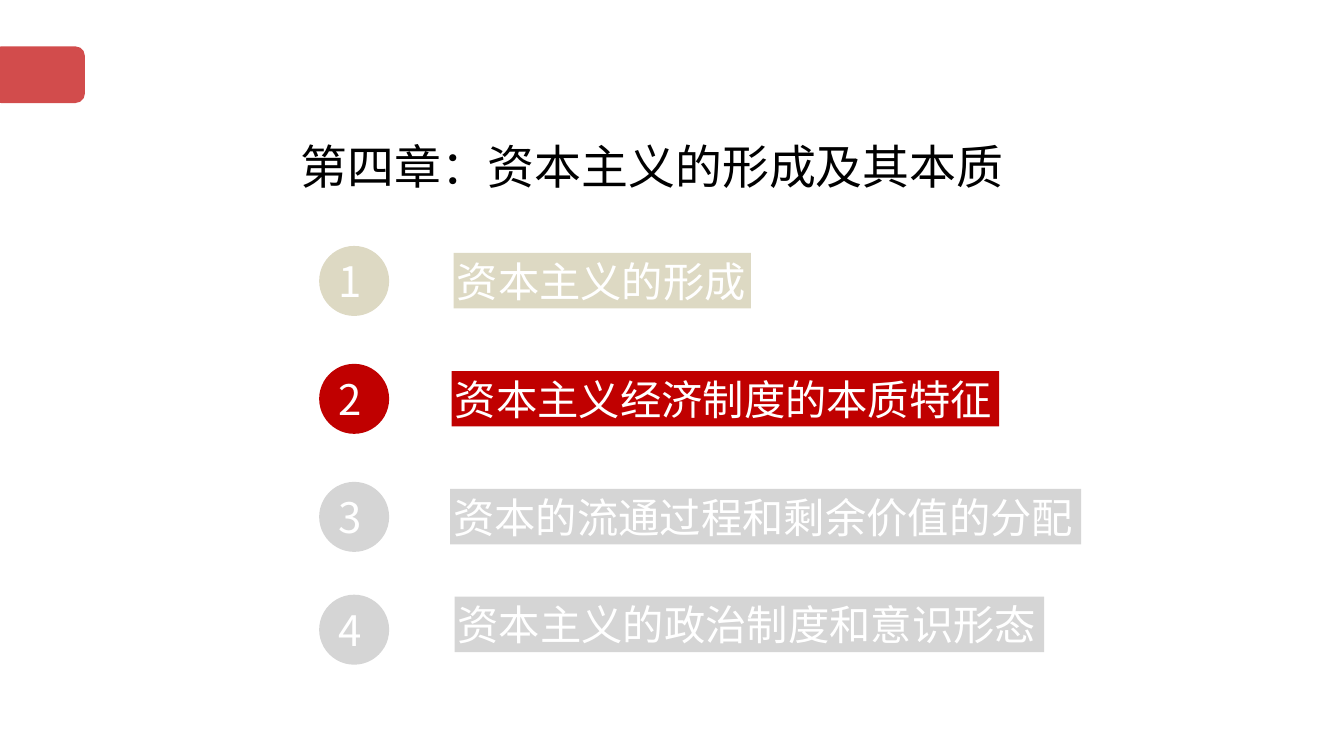
from pptx import Presentation
from pptx.dml.color import RGBColor
from pptx.enum.shapes import MSO_SHAPE
from pptx.enum.text import MSO_ANCHOR, MSO_AUTO_SIZE, PP_ALIGN
from pptx.oxml.ns import qn
from pptx.util import Pt
from lxml.etree import SubElement

FONT = "Noto Sans CJK SC"
TITLE = "第四章：资本主义的形成及其本质"
# text, colour, circle top, bar left, bar top, bar width
PARTS = [
    ("资本主义的形成", "DDD9C3", 175.7, 324, 180.7, 212.4),
    ("资本主义经济制度的本质特征", "C00000", 259.9, 322.7, 265, 391),
    ("资本的流通过程和剩余价值的分配", "D5D5D5", 344.2, 321.6, 349.2, 450.7),
    ("资本主义的政治制度和意识形态", "D5D5D5", 424.8, 324.7, 426.2, 421.2),
]
DOT_LEFT, DOT, BAR_HIGH = 228, 50, 39.6


def paint(fill, color):
    fill.solid()
    fill.fore_color.rgb = RGBColor.from_string(color)


def add_block(kind, left, top, width, height, color):
    block = slide.shapes.add_shape(kind, Pt(left), Pt(top), Pt(width), Pt(height))
    block.shadow.inherit = False
    block.line.fill.background()
    paint(block.fill, color)
    return block


def write(shape, text, size, color="FFFFFF", left=2.2, inset=2.2, spacing=1):
    frame = shape.text_frame
    frame.word_wrap = True
    frame.auto_size = MSO_AUTO_SIZE.NONE
    frame.vertical_anchor = MSO_ANCHOR.MIDDLE
    frame.margin_left = Pt(left)
    frame.margin_right = frame.margin_top = frame.margin_bottom = Pt(inset)
    para = frame.paragraphs[0]
    para.alignment = PP_ALIGN.LEFT
    para.line_spacing = spacing
    run = para.add_run()
    run.text = text
    run.font.size = Pt(size)
    run.font.name = FONT
    paint(run.font.fill, color)
    SubElement(run.font._element, qn("a:ea"), typeface=FONT)


deck = Presentation()
deck.slide_width, deck.slide_height = Pt(960), Pt(540)
slide = deck.slides.add_slide(deck.slide_layouts[5])

title = slide.shapes.title
title.left, title.top, title.width, title.height = Pt(212.4), Pt(75.6), Pt(511.2), Pt(64.8)
write(title, TITLE, 33.5, color="000000", spacing=1.5)

tab = add_block(MSO_SHAPE.ROUNDED_RECTANGLE, -5.8, 33.1, 66.5, 40.5, "C00000")
tint = tab.fill._xPr.find(qn("a:solidFill"))[0]
SubElement(tint, qn("a:alpha"), val="70000")

for num, (text, color, dot_top, left, top, width) in enumerate(PARTS, 1):
    dot = add_block(MSO_SHAPE.OVAL, DOT_LEFT, dot_top, DOT, DOT, color)
    write(dot, str(num), 30, left=6.7, inset=0)
    bar = add_block(MSO_SHAPE.RECTANGLE, left, top, width, BAR_HIGH, color)
    write(bar, text, 29.5)

deck.save("out.pptx")
